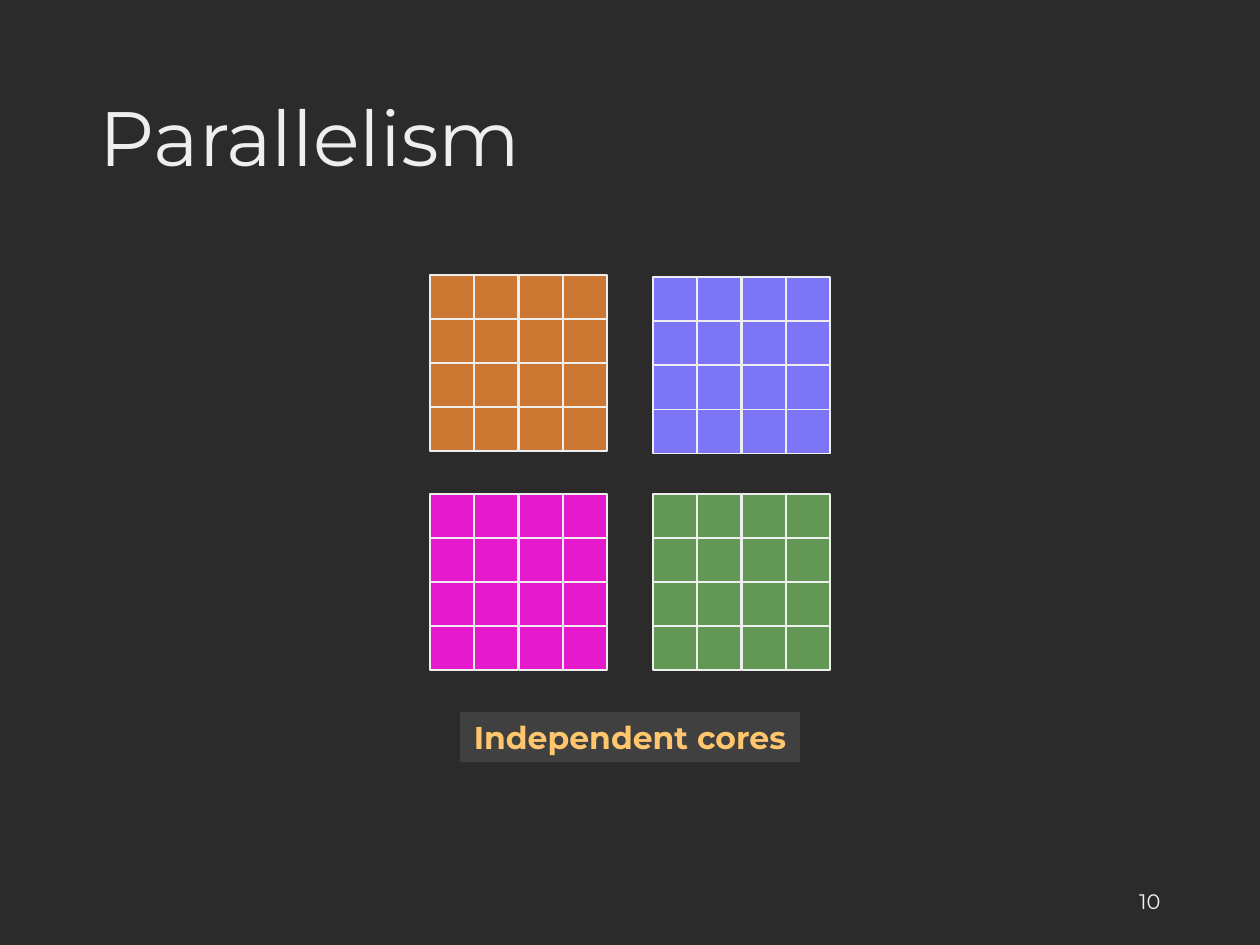
from pptx import Presentation
from pptx.dml.color import RGBColor
from pptx.enum.shapes import MSO_SHAPE
from pptx.enum.text import MSO_ANCHOR, MSO_AUTO_SIZE, PP_ALIGN
from pptx.util import Inches, Pt

RECTANGLE = MSO_SHAPE.RECTANGLE
MIDDLE = MSO_ANCHOR.MIDDLE
LEFT, CENTER, RIGHT = PP_ALIGN.LEFT, PP_ALIGN.CENTER, PP_ALIGN.RIGHT
NO_AUTOSIZE, GROW_SHAPE = MSO_AUTO_SIZE.NONE, MSO_AUTO_SIZE.SHAPE_TO_FIT_TEXT

FONT = "Montserrat"
BACKGROUND = RGBColor(0x2B, 0x2B, 0x2B)
LIGHT = RGBColor(0xEE, 0xEE, 0xEE)
NUMBER_COLOR = RGBColor(0xF2, 0xF2, 0xF2)
LABEL_FILL = RGBColor(0x40, 0x40, 0x40)
LABEL_COLOR = RGBColor(0xFF, 0xC6, 0x6D)
ORANGE = RGBColor(0xCC, 0x78, 0x32)
MAGENTA = RGBColor(0xE4, 0x1A, 0xCC)
VIOLET = RGBColor(0x7C, 0x76, 0xF6)
GREEN = RGBColor(0x62, 0x97, 0x55)

GRID_SIZE = 4
CELL = 0.35
COLUMN_STEP = 1.06 / 3
CORES = [
    (3.41, 2.18, ORANGE),
    (3.41, 3.92, MAGENTA),
    (5.18, 2.2, VIOLET),
    (5.18, 3.92, GREEN),
]


def write_text(box, text, size, color, alignment, bold=False):
    frame = box.text_frame
    frame.text = text
    frame.word_wrap = True
    frame.vertical_anchor = MIDDLE
    para = frame.paragraphs[0]
    para.alignment = alignment
    font = para.runs[0].font
    font.name = FONT
    font.size = Pt(size)
    font.bold = bold
    font.color.rgb = color


deck = Presentation()
deck.slide_width = Inches(10)
deck.slide_height = Inches(7.5)
page = deck.slides.add_slide(deck.slide_layouts[5])
page.background.fill.solid()
page.background.fill.fore_color.rgb = BACKGROUND

title = page.shapes.title
title.left, title.top = Inches(0.69), Inches(0.4)
title.width, title.height = Inches(8.62), Inches(1.45)
write_text(title, "Parallelism", 44, LIGHT, LEFT)
title.text_frame.auto_size = NO_AUTOSIZE
title.text_frame.paragraphs[0].line_spacing = 0.9

number_box = page.shapes.add_textbox(Inches(7.06), Inches(6.95), Inches(2.25), Inches(0.4))
write_text(number_box, "10", 12, NUMBER_COLOR, RIGHT)

for left, top, color in CORES:
    for row in range(GRID_SIZE):
        for column in range(GRID_SIZE):
            cell = page.shapes.add_shape(
                RECTANGLE,
                Inches(left + column * COLUMN_STEP),
                Inches(top + row * CELL),
                Inches(CELL),
                Inches(CELL),
            )
            cell.shadow.inherit = False
            cell.fill.solid()
            cell.fill.fore_color.rgb = color
            cell.line.color.rgb = LIGHT
            cell.line.width = Pt(1)

label = page.shapes.add_shape(RECTANGLE, Inches(3.65), Inches(5.65), Inches(2.7), Inches(0.4))
label.shadow.inherit = False
label.fill.solid()
label.fill.fore_color.rgb = LABEL_FILL
label.line.fill.background()
write_text(label, "Independent cores", 18, LABEL_COLOR, CENTER, bold=True)
label.text_frame.auto_size = GROW_SHAPE

deck.save("out.pptx")
